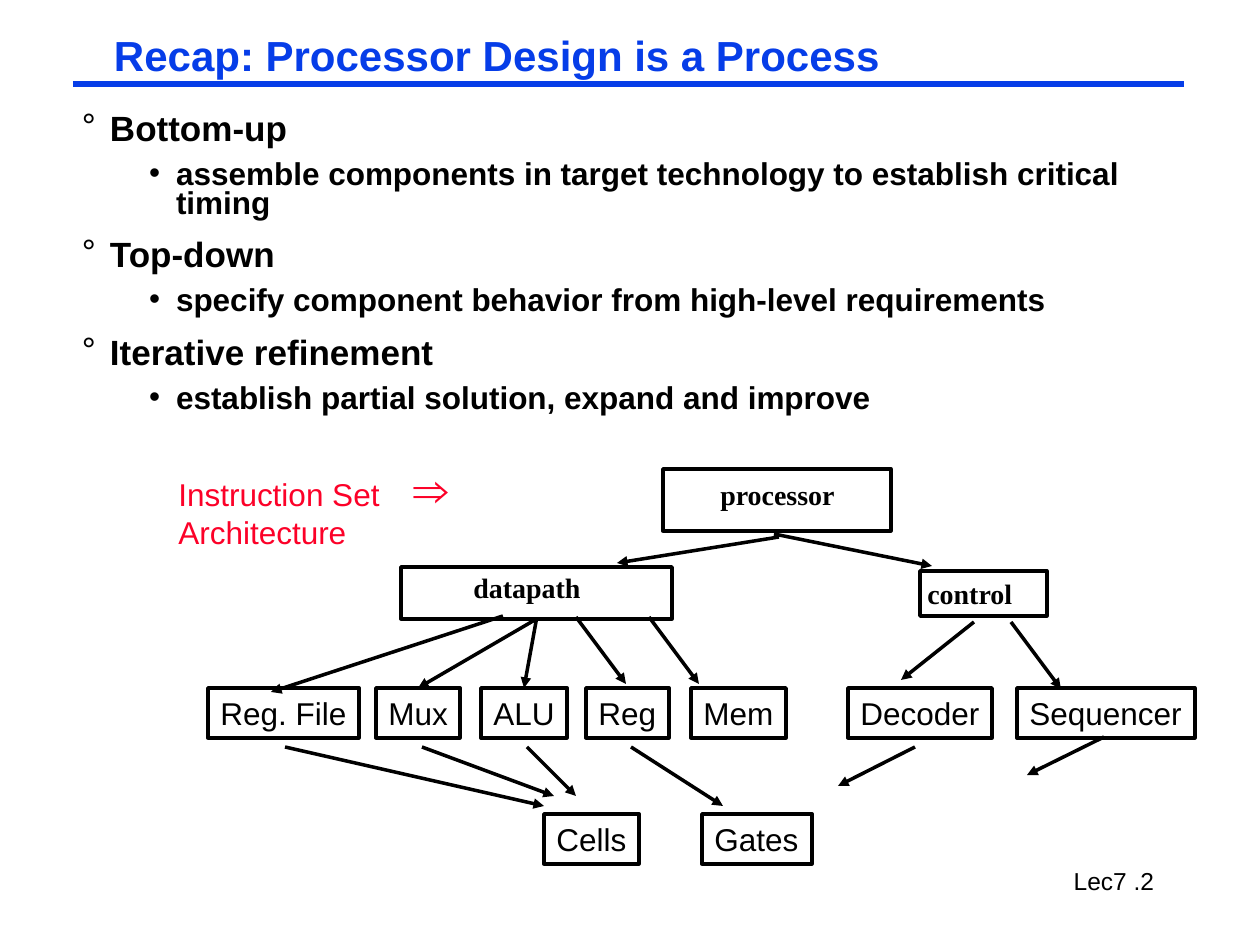
import pptx
import pptx.util
import pptx.dml.color
import pptx.enum.shapes
import pptx.enum.text
import pptx.oxml.ns
import pptx.oxml.xmlchemy

RGB = pptx.dml.color.RGBColor
BLUE = RGB(0x06, 0x3D, 0xE8)
RED = RGB(0xFC, 0x01, 0x28)
BLACK = RGB(0, 0, 0)
SANS, SERIF = "Arial", "Times New Roman"

# Content; lengths in px, 126 to the inch
TITLE = "Recap: Processor Design is a Process"
POINTS = [
    ("Bottom-up", "assemble components in target technology to establish critical timing"),
    ("Top-down", "specify component behavior from high-level requirements"),
    ("Iterative refinement", "establish partial solution, expand and improve"),
]
# Level: bullet, size, line spacing, space before, left margin, hang
LEVELS = [("°", 20, 0.65, 15, 28, 28), ("•", 18, 0.75, 9, 94, 27)]

FRAMES = {"datapath": (401, 567, 271, 52), "control": (920, 571, 127, 45),
          "processor": (663, 469, 228, 62)}
NAMES = [("datapath", 461, 564, 159), ("control", 915, 570, 111),
         ("processor", 708, 471, 140)]
# Row top: (name, left, width)
ROWS = {
    688: [("Reg. File", 208, 151), ("Mux", 376, 84), ("ALU", 481, 86),
          ("Reg", 586, 83), ("Mem", 691, 95), ("Decoder", 848, 144),
          ("Sequencer", 1017, 178)],
    814: [("Cells", 544, 95), ("Gates", 702, 110)],
}
BOX_H = 50
# From x, y to x, y
ARROWS = [
    (779, 537, 617, 563), (774, 534, 932, 566),
    (503, 616, 271, 692), (576, 617, 626, 684), (649, 617, 699, 684),
    (974, 622, 901, 680), (1011, 622, 1061, 689),
    (285, 747, 544, 806), (422, 747, 554, 796), (527, 747, 576, 796),
    (631, 747, 723, 806), (915, 747, 838, 786), (1104, 737, 1027, 775),
]

SCALE = 914400 / 126


def px(n):
    return pptx.util.Emu(round(n * SCALE))


def place(shape, *area):
    shape.left, shape.top, shape.width, shape.height = map(px, area)


def inset(frame, x, y):
    frame.margin_left = frame.margin_right = px(x)
    frame.margin_top = frame.margin_bottom = px(y)


def style(para, size, color=BLACK, face=SANS, bold=False):
    font = para.font
    font.size, font.name, font.bold = pptx.util.Pt(size), face, bold
    font.color.rgb = color


def fill_text(shape, lines, size, **look):
    frame = shape.text_frame
    frame.text = "\n".join(lines)
    frame.word_wrap = False
    frame.vertical_anchor = pptx.enum.text.MSO_ANCHOR.TOP
    inset(frame, 12.6, 6.3)
    for para in frame.paragraphs:
        para.alignment = pptx.enum.text.PP_ALIGN.LEFT
        style(para, size, **look)


def label(lines, area, size, **look):
    box = slide.shapes.add_textbox(*map(px, area))
    fill_text(box, lines, size, **look)
    return box


def outline(*area):
    box = slide.shapes.add_shape(
        pptx.enum.shapes.MSO_SHAPE.RECTANGLE, *map(px, area))
    box.shadow.inherit = False
    box.fill.background()
    box.line.color.rgb = BLACK
    box.line.width = pptx.util.Pt(2)
    return box


def make(tag, **attrs):
    node = pptx.oxml.xmlchemy.OxmlElement(tag)
    for key, value in attrs.items():
        node.set(key, value)
    return node


def line(ends, color=BLACK, width=2, head=True):
    link = slide.shapes.add_connector(
        pptx.enum.shapes.MSO_CONNECTOR.STRAIGHT, *map(px, ends))
    link.line.color.rgb = color
    link.line.width = pptx.util.Pt(width)
    props = link._element.spPr
    if head:
        props.find(pptx.oxml.ns.qn("a:ln")).append(
            make("a:tailEnd", type="triangle"))
    props.append(make("a:effectLst"))
    return link


deck = pptx.Presentation()
deck.slide_width, deck.slide_height = px(1260), px(945)
slide = deck.slides.add_slide(deck.slide_layouts[1])

# Title, rule and slide number
title = slide.shapes.title
place(title, 105, 32, 784, 50)
fill_text(title, [TITLE], 24, color=BLUE, bold=True)
inset(title.text_frame, 9, 4)
title.text_frame.paragraphs[0].line_spacing = 0.87
line((73, 84, 1184, 84), BLUE, 3.75, head=False)
number = label(["Lec7 .2"], (983, 862, 262, 37), 14)
inset(number.text_frame, 9, 4)
number.text_frame.paragraphs[0].alignment = pptx.enum.text.PP_ALIGN.CENTER

# Bulleted list
body = slide.placeholders[1]
place(body, 73, 116, 1124, 330)
frame = body.text_frame
fill_text(body, [text for pair in POINTS for text in pair], 18, bold=True)
frame.word_wrap = True
frame.auto_size = pptx.enum.text.MSO_AUTO_SIZE.NONE
inset(frame, 9, 4)
for i, para in enumerate(frame.paragraphs):
    para.level = i % 2
    mark, size, gap, before, left, hang = LEVELS[para.level]
    para.font.size = pptx.util.Pt(size)
    para.line_spacing = gap
    para.space_before = pptx.util.Pt(before)
    props = para._p.get_or_add_pPr()
    props.set("marL", str(px(left)))
    props.set("indent", str(px(-hang)))
    props.find(pptx.oxml.ns.qn("a:defRPr")).addprevious(
        make("a:buChar", char=mark))

# Upper blocks and their names
boxes = {name: outline(*area) for name, area in FRAMES.items()}
for name, x, y, w in NAMES:
    label([name], (x, y, w, 45), 16, face=SERIF, bold=True)
label(["Instruction Set", "Architecture"], (166, 469, 227, 88), 18, color=RED)
label(["⇒"], (401, 452, 64, 71), 28, color=RED)

# Lower blocks
for top, row in ROWS.items():
    for name, x, w in row:
        boxes[name] = outline(x, top, w, BOX_H)
        fill_text(boxes[name], [name], 18)

# Arrows, free and joined
for ends in ARROWS:
    line(ends)
for goal in ("Mux", "ALU"):
    link = line((537, 619, 537, 688))
    link.begin_connect(boxes["datapath"], 2)
    link.end_connect(boxes[goal], 0)

deck.save("out.pptx")
